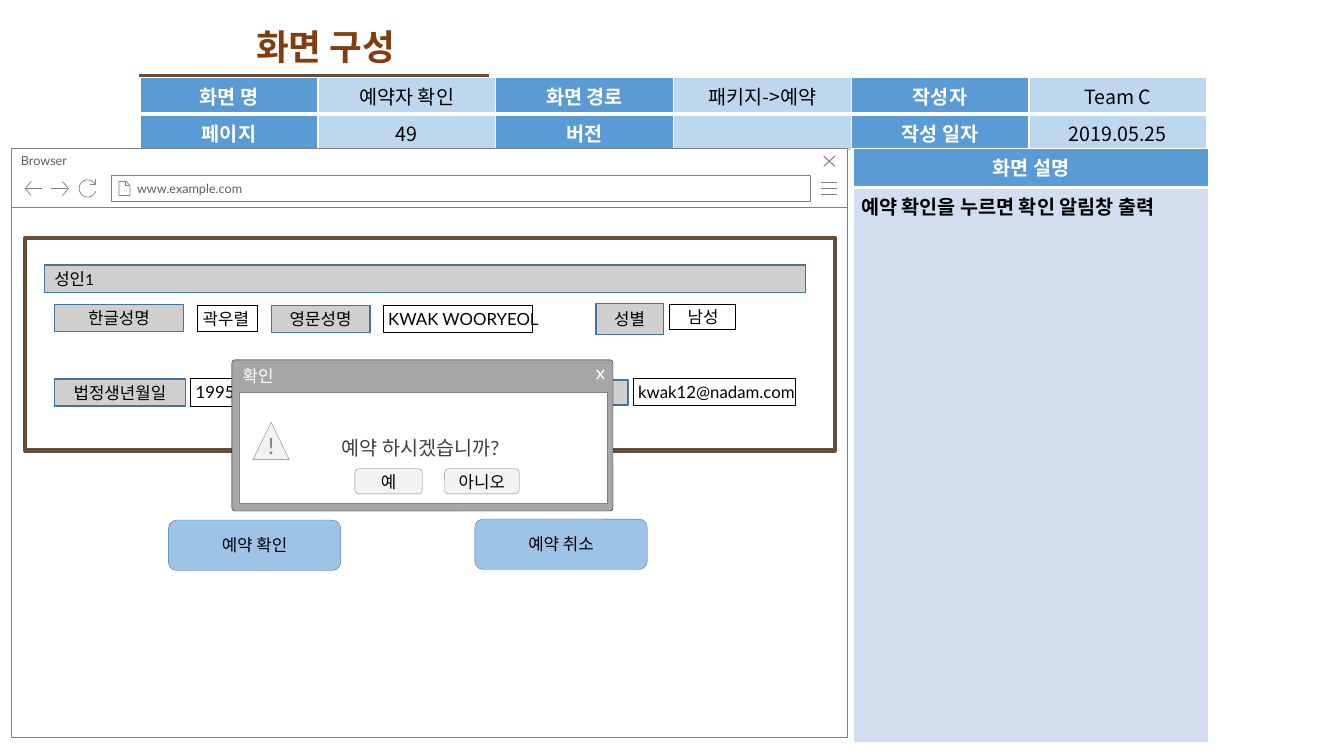
import dataclasses
import math

import lxml.etree
import pptx
import pptx.dml.color
import pptx.enum.shapes
import pptx.enum.text
import pptx.oxml.ns
import pptx.util

SHAPE = pptx.enum.shapes.MSO_SHAPE
ALIGN = pptx.enum.text.PP_ALIGN
ANCHOR = pptx.enum.text.MSO_ANCHOR
qn = pptx.oxml.ns.qn
PX = 9144  # EMU in one px, 100 px to the inch


@dataclasses.dataclass(frozen=True)
class Theme:
    latin: str = "Lato"
    heading: str = "Calibri"
    korean: str = "Noto Sans CJK KR"
    title: str = "843C0C"
    brown: str = "674C37"
    white: str = "FFFFFF"
    black: str = "000000"
    header: str = "5B9BD5"
    value: str = "BDD7EE"
    note: str = "D2DEEF"
    label: str = "D0CECE"
    label_line: str = "43739E"
    action: str = "9DC3E6"
    action_line: str = "2E75B6"
    gray: str = "808080"
    browser_text: str = "5F5F5F"
    dialog: str = "A6A6A6"
    dialog_line: str = "0D0D0D"
    dialog_text: str = "404040"
    button: str = "F2F2F2"
    title_size: float = 25.4
    mark_size: float = 16
    table_size: float = 14
    form_size: float = 12
    browser_size: float = 9


class ScreenSlide:
    def __init__(self, presentation, theme):
        self.theme = theme
        self.slide = presentation.slides.add_slide(presentation.slide_layouts[5])
        self.shapes = self.slide.shapes

    def color(self, value):
        return pptx.dml.color.RGBColor.from_string(value)

    def format_text(self, text_frame, text, size, color, font, align, bold=False):
        text_frame.text = text
        paragraph = text_frame.paragraphs[0]
        paragraph.alignment = align
        for run in paragraph.runs:
            run.font.size = pptx.util.Pt(size)
            run.font.bold = bold
            run.font.name = font
            run.font.color.rgb = self.color(color)
            east_asian = lxml.etree.SubElement(run._r.get_or_add_rPr(), qn("a:ea"))
            east_asian.set("typeface", self.theme.korean)
        if not text:
            paragraph._p.get_or_add_endParaRPr().set("sz", str(int(size * 100)))

    def set_margins(self, text_frame, margins):
        left, top, right, bottom = (margin * PX for margin in margins)
        text_frame.margin_left, text_frame.margin_top = left, top
        text_frame.margin_right, text_frame.margin_bottom = right, bottom

    def set_line(self, shape, color, width):
        shape.line.color.rgb = self.color(color)
        shape.line.width = pptx.util.Pt(width)

    def title(self, text, left, top, width, height):
        shape = self.shapes.title
        shape.left, shape.top = left * PX, top * PX
        shape.width, shape.height = width * PX, height * PX
        shape.text_frame.auto_size = pptx.enum.text.MSO_AUTO_SIZE.NONE
        shape.text_frame.vertical_anchor = ANCHOR.MIDDLE
        self.format_text(shape.text_frame, text, self.theme.title_size,
                         self.theme.title, self.theme.heading, ALIGN.CENTER, True)

    def box(self, place, fill, line, width, text="", kind=SHAPE.RECTANGLE, size=None,
            color=None, font=None, align=ALIGN.CENTER, anchor=ANCHOR.MIDDLE,
            margins=(10, 5, 10, 5), wrap=True):
        shape = self.shapes.add_shape(kind, *(length * PX for length in place))
        shape.shadow.inherit = False
        if fill:
            shape.fill.solid()
            shape.fill.fore_color.rgb = self.color(fill)
        else:
            shape.fill.background()
        self.set_line(shape, line, width)
        if text:
            text_frame = shape.text_frame
            text_frame.word_wrap = wrap
            text_frame.vertical_anchor = anchor
            self.set_margins(text_frame, margins)
            self.format_text(text_frame, text, size or self.theme.form_size,
                             color or self.theme.black, font or self.theme.latin, align)
        return shape

    def label(self, text, *place, align=ALIGN.CENTER):
        self.box(place, self.theme.label, self.theme.label_line, 1, text,
                 font=self.theme.heading, align=align)

    def field(self, text, *place):
        self.box(place, self.theme.white, self.theme.black, 0.25, text,
                 align=ALIGN.LEFT, margins=(5, 2, 5, 2), wrap=False)

    def button(self, text, place, fill, line, margins=(10, 5, 10, 5)):
        self.box(place, fill, line, 0.25, text, SHAPE.ROUNDED_RECTANGLE, margins=margins)

    def line(self, start, end, color, width):
        points = (length * PX for length in (*start, *end))
        connector = self.shapes.add_connector(
            pptx.enum.shapes.MSO_CONNECTOR.STRAIGHT, *points)
        self.set_line(connector, color, width)
        lxml.etree.SubElement(connector._element.spPr, qn("a:effectLst"))

    def icon(self, strokes, width=0.5):
        scaled = [[(x * PX, y * PX) for x, y in stroke] for stroke in strokes]
        builder = self.shapes.build_freeform(*scaled[0][0])
        for number, stroke in enumerate(scaled):
            if number:
                builder.move_to(*stroke[0])
            builder.add_line_segments(stroke[1:], close=False)
        shape = builder.convert_to_shape()
        shape.shadow.inherit = False
        shape.fill.background()
        self.set_line(shape, self.theme.gray, width)

    def table(self, place, heights, rows, is_header, plain_fill):
        table = self.shapes.add_table(
            len(rows), len(rows[0]), *(length * PX for length in place)).table
        table.first_row = table.horz_banding = False
        for r, texts in enumerate(rows):
            table.rows[r].height = heights[r] * PX
            for c, text in enumerate(texts):
                header = is_header(r, c)
                cell = table.cell(r, c)
                self.set_margins(cell, (8, 4, 8, 4))
                self.borders(cell, 3 if r == 0 else 1)
                cell.fill.solid()
                cell.fill.fore_color.rgb = self.color(
                    self.theme.header if header else plain_fill)
                single = len(texts) == 1
                self.format_text(
                    cell.text_frame, text, self.theme.table_size,
                    self.theme.white if header else self.theme.black, self.theme.korean,
                    ALIGN.LEFT if single and not header else ALIGN.CENTER,
                    header or single)

    def borders(self, cell, bottom):
        properties = cell._tc.get_or_add_tcPr()
        for side, width in (("L", 1), ("R", 1), ("T", 1), ("B", bottom)):
            border = lxml.etree.SubElement(properties, qn("a:ln" + side), w=str(width * 12700))
            fill = lxml.etree.SubElement(border, qn("a:solidFill"))
            lxml.etree.SubElement(fill, qn("a:srgbClr"), val=self.theme.white)


def main():
    presentation = pptx.Presentation()
    presentation.slide_width, presentation.slide_height = 1333 * PX, 750 * PX
    theme = Theme()
    screen = ScreenSlide(presentation, theme)

    # Title and document tables
    screen.title("화면 구성", 138, 19, 370, 53)
    screen.table((139, 77, 1058, 64), (32, 32), [
        ("화면 명", "예약자 확인", "화면 경로", "패키지->예약", "작성자", "Team C"),
        ("페이지", "49", "버전", "", "작성 일자", "2019.05.25"),
    ], lambda row, column: column % 2 == 0, theme.value)
    screen.table((846, 147, 353, 590), (39, 551),
                 [("화면 설명",), ("예약 확인을 누르면 확인 알림창 출력",)],
                 lambda row, column: row == 0, theme.note)
    screen.line((138, 75), (485, 75), theme.brown, 2.5)

    # Browser window
    browser = dict(size=theme.browser_size, color=theme.browser_text, align=ALIGN.LEFT)
    screen.box((11, 206, 829, 526), theme.white, theme.gray, 0.5)
    screen.box((11, 147, 829, 59), theme.white, theme.gray, 0.5, "Browser",
               anchor=ANCHOR.TOP, margins=(10, 5, 25, 5), **browser)
    screen.box((110, 174, 694, 26), theme.white, theme.gray, 0.5, "www.example.com",
               margins=(26, 5, 10, 5), **browser)

    # Browser icons: menu, close, page, back, forward, reload
    screen.icon([[(814, y), (830, y)] for y in (193, 187, 181)])
    screen.icon([[(828, 155), (817, 165)], [(817, 155), (828, 165)]], 0.75)
    screen.icon([[(124, 180), (124, 184), (128, 184)],
                 [(118, 180), (118, 194), (129, 194), (129, 184), (125, 180), (118, 180)]])
    screen.icon([[(31, 194), (25, 187), (31, 180)], [(26, 187), (42, 187)]])
    screen.icon([[(62, 180), (68, 187), (62, 194)], [(67, 187), (51, 187)]])
    arc = [(87 + 8.5 * math.cos(math.radians(angle)), 187 + 8.5 * math.sin(math.radians(angle)))
           for angle in range(20, 336, 15)]
    screen.icon([[(95, 178), (95, 183), (89, 183)], arc])

    # Passenger form
    screen.box((664, 302, 66, 25), None, theme.black, 0.75, "남성",
               align=ALIGN.LEFT, margins=(18, 2, 5, 3))
    screen.label("성인1", 44, 263, 755, 27, align=ALIGN.LEFT)
    screen.label("한글성명", 54, 302, 128, 27)
    screen.field("곽우렬", 196, 303, 59, 26)
    screen.label("영문성명", 269, 303, 98, 27)
    screen.field("KWAK WOORYEOL", 380, 303, 148, 27)
    screen.label("성별", 591, 301, 67, 31)
    screen.label("법정생년월일", 54, 376, 130, 27)
    screen.field("19951201", 189, 375, 93, 28)
    screen.label("이메일", 535, 377, 88, 25)
    screen.field("kwak12@nadam.com", 628, 375, 161, 27)
    screen.box((25, 236, 803, 211), None, theme.brown, 3)
    for text, left, top in (("예약 확인", 167, 516), ("예약 취소", 471, 515)):
        screen.button(text, (left, top, 171, 50), theme.action, theme.action_line, (10, 0, 10, 1))

    # Confirmation dialog
    dialog = screen.box((230, 357, 378, 150), theme.dialog, theme.dialog_line, 0.25, "확인",
                        SHAPE.ROUNDED_RECTANGLE, color=theme.white, align=ALIGN.LEFT,
                        anchor=ANCHOR.TOP)
    dialog.adjustments[0] = 0.02
    screen.box((237, 389, 365, 110), theme.white, theme.gray, 0.25, "예약 하시겠습니까?",
               size=theme.table_size, color=theme.dialog_text, margins=(5, 5, 10, 5))
    for start, end in ((592, 599), (599, 592)):
        screen.line((start, 367), (end, 376), theme.white, 1)
    screen.box((251, 419, 36, 37), theme.button, theme.gray, 0.25, "!",
               SHAPE.ISOSCELES_TRIANGLE, size=theme.mark_size, color=theme.gray,
               margins=(5, 0, 5, 10))
    for text, left, width in (("예", 352, 67), ("아니오", 441, 74)):
        screen.button(text, (left, 465, width, 25), theme.button, theme.gray)

    presentation.save("out.pptx")


if __name__ == "__main__":
    main()
